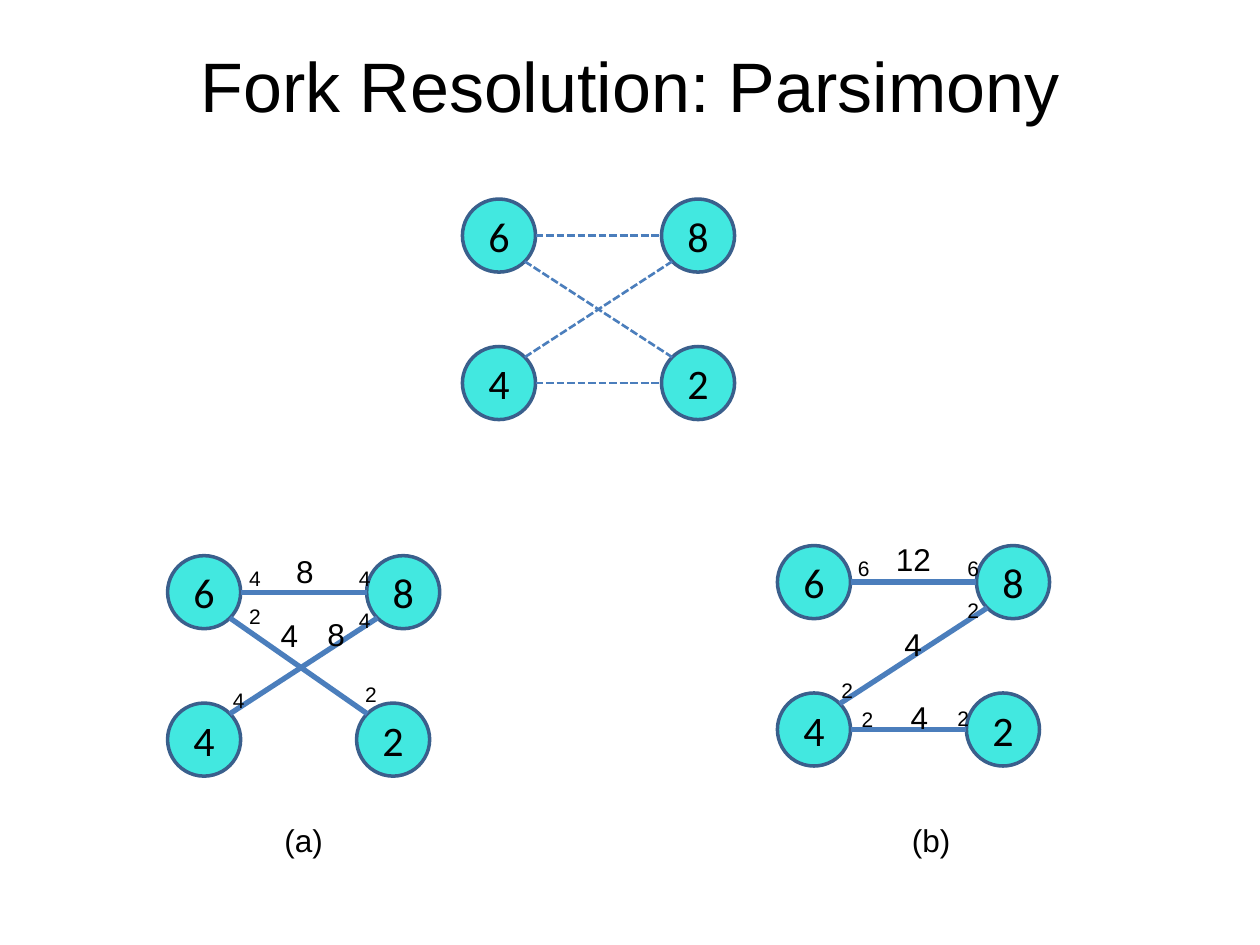
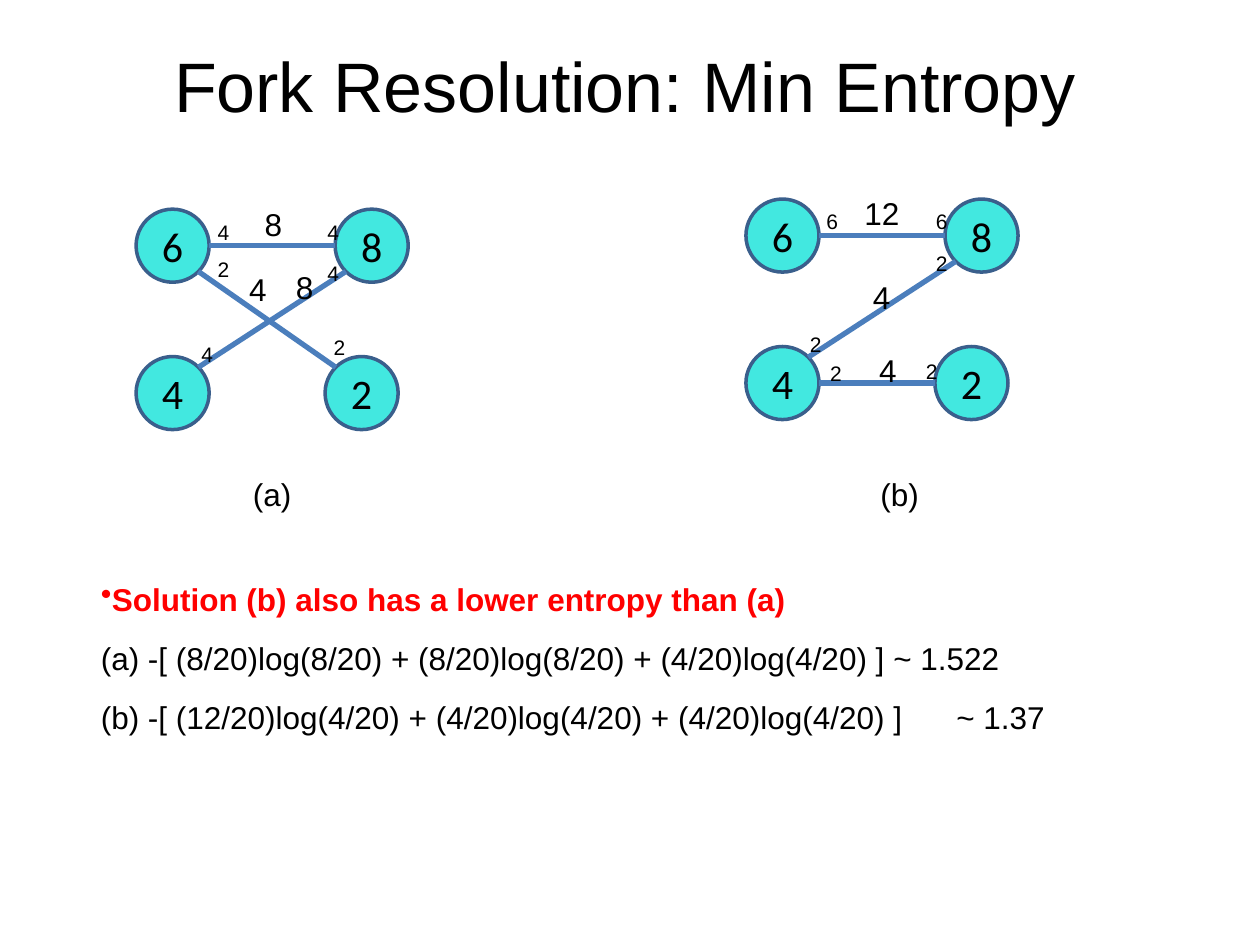
from math import sqrt
from lxml.etree import SubElement
from pptx import Presentation
from pptx.dml.color import RGBColor
from pptx.enum.dml import MSO_LINE
from pptx.enum.shapes import MSO_CONNECTOR, MSO_SHAPE
from pptx.enum.text import MSO_ANCHOR, PP_ALIGN
from pptx.oxml.ns import qn
from pptx.util import Inches, Pt

COLORS = {"text": "000000", "node": "42E8E0", "rim": "3A5F8C",
          "edge": "4B7EBC", "key": "FF0000"}
SIZE = 0.58          # node diameter
COL, ROW = 1.58, 1.17  # steps between nodes
NEAR = 1.5           # column of a node "2" set closer in
SMALL, BIG = 12, 18

# Graphs: all places are offsets from the top left node.
# Labels are (text, x, y, size, width).
FORK = {
    "nodes": {"6": (0, 0), "4": (0, ROW), "8": (COL, 0), "2": (COL, ROW)},
    "edges": ["68", "62", "48", "42"], "dash": True,
    "labels": [], "name": None,
}
PLAN_A = {
    "nodes": {**FORK["nodes"], "2": (NEAR, ROW)},
    "edges": ["68", "62", "48"], "dash": False,
    "labels": [
        ("8", 0.84, -0.08, BIG, 0.5), ("4", 0.55, 0.03, SMALL, 0.2),
        ("4", 1.42, 0.03, SMALL, 0.2), ("4", 1.42, 0.36, SMALL, 0.2),
        ("2", 0.55, 0.33, SMALL, 0.2), ("4", 0.42, 1.0, SMALL, 0.2),
        ("8", 1.17, 0.42, BIG, 0.2), ("2", 1.47, 0.95, SMALL, 0.2),
        ("4", 0.8, 0.43, BIG, 0.2)],
    "name": ("(a)", 0.67, 2.05),
}
PLAN_B = {
    "nodes": PLAN_A["nodes"],
    "edges": ["68", "42", "48"], "dash": False,
    "labels": [
        ("12", 0.83, -0.09, BIG, 0.5), ("6", 0.54, 0.03, SMALL, 0.2),
        ("6", 1.41, 0.03, SMALL, 0.2), ("2", 1.41, 0.36, SMALL, 0.2),
        ("2", 0.57, 1.23, SMALL, 0.2), ("2", 0.41, 1.0, SMALL, 0.2),
        ("4", 0.91, 0.58, BIG, 0.2), ("2", 1.33, 1.22, SMALL, 0.2),
        ("4", 0.96, 1.16, BIG, 0.2)],
    "name": ("(b)", 0.81, 2.13),
}
# Slides: title, title left and width, graphs with their origins, notes
SLIDES = [
    ("Fork Resolution: Parsimony", 0.5, 9,
     [(FORK, 3.67, 1.58), (PLAN_A, 1.33, 4.41), (PLAN_B, 6.17, 4.33)], []),
    ("Fork Resolution: Min Entropy", 0.17, 9.58,
     [(PLAN_A, 1.08, 1.66), (PLAN_B, 5.92, 1.58)],
     ["Solution (b) also has a lower entropy than (a)",
      "(a) -[ (8/20)log(8/20) + (8/20)log(8/20) + (4/20)log(4/20) ]\t~ 1.522",
      "(b) -[ (12/20)log(4/20) + (4/20)log(4/20) + (4/20)log(4/20) ]\t~ 1.37"]),
]


def color(key):
    return RGBColor.from_string(COLORS[key])


def style(para, size, face="Arial", key="text", bold=False):
    font = para.font
    font.size, font.name, font.bold = Pt(size), face, bold
    font.color.rgb = color(key)


def inset(frame, *sides):
    (frame.margin_left, frame.margin_top,
     frame.margin_right, frame.margin_bottom) = map(Inches, sides)


def add_box(slide, text, x, y, w, h, size, sides=(0.1, 0.05, 0.1, 0.05)):
    frame = slide.shapes.add_textbox(*map(Inches, (x, y, w, h))).text_frame
    frame.word_wrap = True
    inset(frame, *sides)
    para = frame.paragraphs[0]
    para.text, para.alignment = text, PP_ALIGN.CENTER
    style(para, size)
    return frame


def add_node(slide, text, x, y):
    node = slide.shapes.add_shape(
        MSO_SHAPE.OVAL, *map(Inches, (x, y, SIZE, SIZE)))
    node.shadow.inherit = False
    node.fill.solid()
    node.fill.fore_color.rgb = color("node")
    node.line.color.rgb, node.line.width = color("rim"), Pt(2)
    frame = node.text_frame
    frame.vertical_anchor = MSO_ANCHOR.MIDDLE
    para = frame.paragraphs[0]
    para.text, para.alignment = text, PP_ALIGN.CENTER
    style(para, 24, "Calibri")


def add_edge(slide, start, end, dash):
    """Join the rims of two nodes: straight across, or at 45 degrees."""
    rad = SIZE / 2
    (ax, ay), (bx, by) = [(x + rad, y + rad) for x, y in (start, end)]
    turn = (by > ay) - (by < ay)
    dx = rad / sqrt(2) if turn else rad
    dy = turn * dx
    line = slide.shapes.add_connector(
        MSO_CONNECTOR.STRAIGHT,
        *map(Inches, (ax + dx, ay + dy, bx - dx, by - dy)))
    line.line.color.rgb = color("edge")
    line.line.width = Pt(1.5 if dash else 3)
    if dash:
        line.line.dash_style = MSO_LINE.SQUARE_DOT
    SubElement(line._element.spPr, qn("a:effectLst"))


def add_graph(slide, graph, left, top):
    spots = {k: (left + x, top + y) for k, (x, y) in graph["nodes"].items()}
    for text, (x, y) in spots.items():
        add_node(slide, text, x, y)
    for a, b in graph["edges"]:
        add_edge(slide, spots[a], spots[b], graph["dash"])
    for text, x, y, size, width in graph["labels"]:
        high = 0.4 if size == BIG else 0.3
        add_box(slide, text, left + x, top + y, width, high, size)
    if graph["name"]:
        text, x, y = graph["name"]
        add_box(slide, text, left + x, top + y, 0.82, 0.45, BIG,
                (0.09, 0.06, 0.09, 0.04))


def add_notes(slide, notes):
    box = slide.shapes.add_textbox(*map(Inches, (0.5, 4.38, 8.89, 3.12)))
    frame = box.text_frame
    frame.word_wrap = True
    inset(frame, 0.09, 0.07, 0.09, 0.04)
    for i, text in enumerate(notes):
        para = frame.paragraphs[0] if i == 0 else frame.add_paragraph()
        para.text, para.line_spacing = text, 1.5
        props = para._p.get_or_add_pPr()
        props.set("marL", "0")
        props.set("indent", str(Inches(0.21)))
        if i == 0:
            SubElement(props, qn("a:buChar"), char="•")
        else:
            para.space_before = Pt(1.5)
            SubElement(props, qn("a:buNone"))
            tabs = SubElement(props, qn("a:tabLst"))
            SubElement(tabs, qn("a:tab"), pos=str(Inches(6.64)), algn="l")
        style(para, BIG, key="text" if i else "key", bold=i == 0)


def main():
    deck = Presentation()
    deck.slide_width, deck.slide_height = Inches(10), Inches(7.5)
    for title, left, width, graphs, notes in SLIDES:
        slide = deck.slides.add_slide(deck.slide_layouts[6])
        head = add_box(slide, title, left, 0.3, width, 0.7, 40,
                       (0, 0.04, 0, 0))
        head.vertical_anchor = MSO_ANCHOR.MIDDLE
        for graph, x, y in graphs:
            add_graph(slide, graph, x, y)
        if notes:
            add_notes(slide, notes)
    deck.save("out.pptx")


if __name__ == "__main__":
    main()
